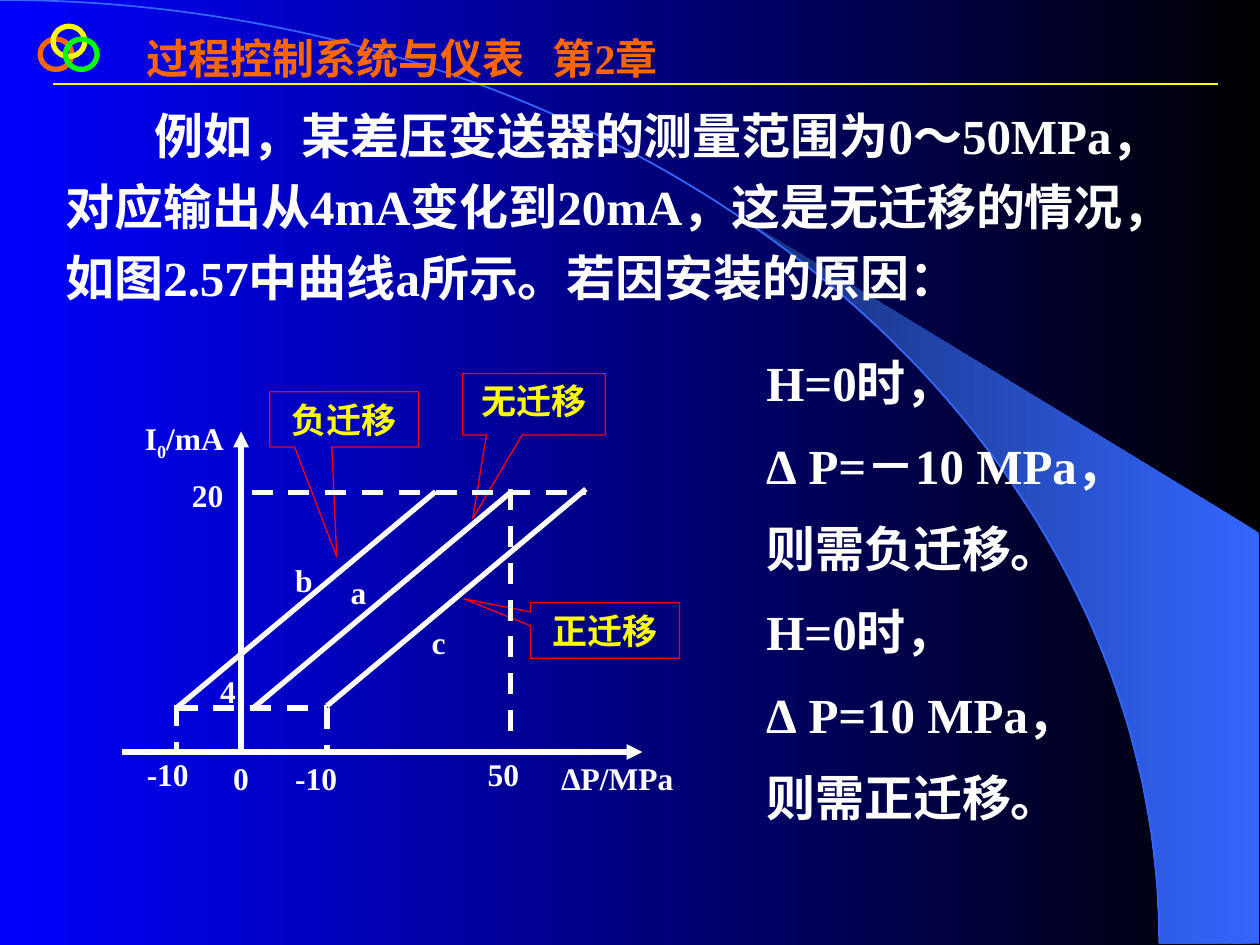
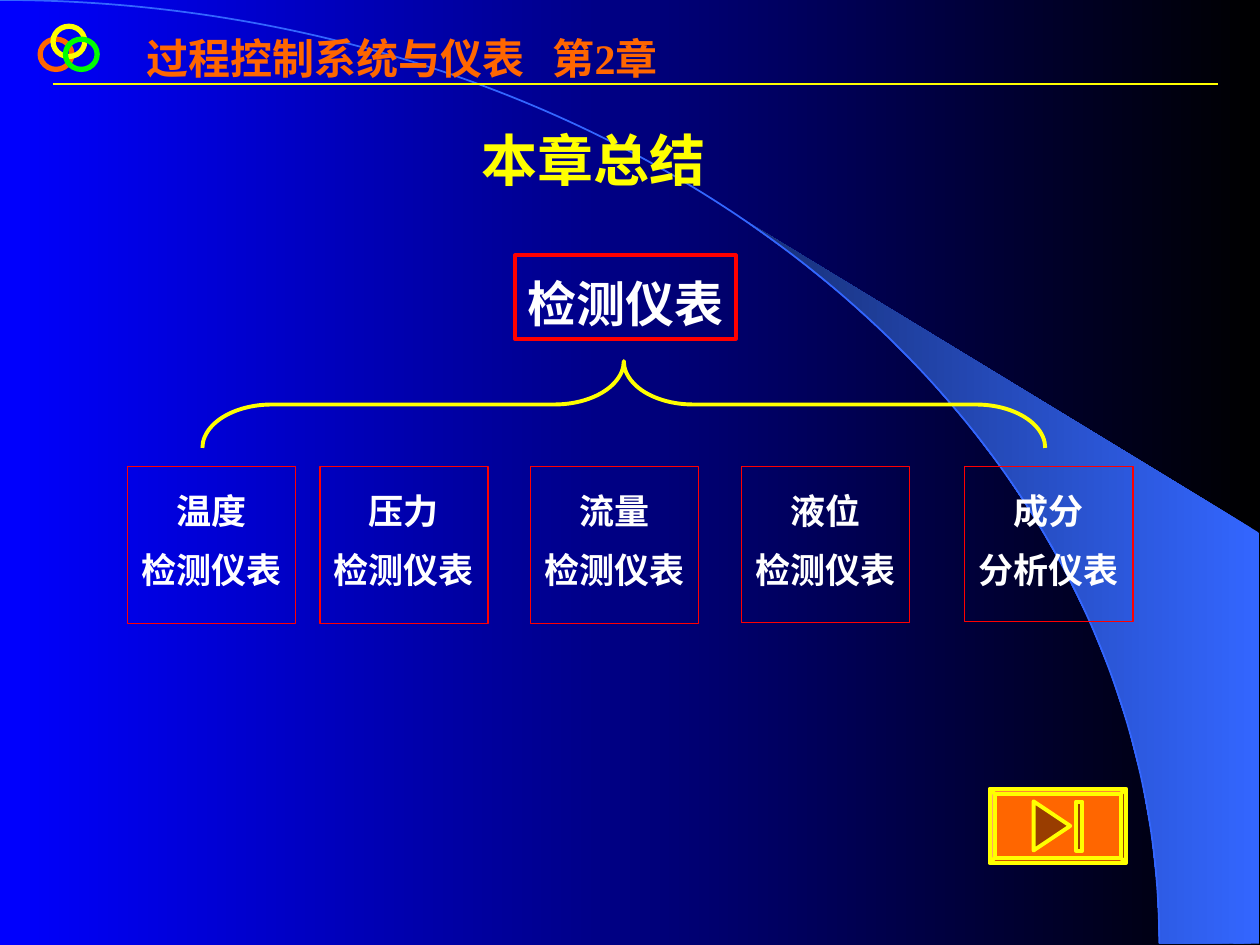
"""Build two slides on transmitter zero shift and the summary of chapter 2."""
from dataclasses import dataclass
from math import cos, radians, sin

from lxml.etree import SubElement
from pptx import Presentation
from pptx.dml.color import RGBColor as RGB
from pptx.enum.dml import MSO_LINE as DASH
from pptx.enum.shapes import MSO_CONNECTOR as LINK, MSO_SHAPE as SHAPE
from pptx.enum.text import MSO_ANCHOR as ANCHOR, PP_ALIGN as ALIGN
from pptx.oxml.ns import qn
from pptx.util import Cm, Pt


@dataclass(frozen=True)
class Theme:
    latin: str = "Times New Roman"
    cjk: str = "Noto Sans CJK SC"
    black: str = "000000"
    blue: str = "0000FF"
    sky: str = "3366FF"
    navy: str = "172F75"
    orange: str = "FF6600"
    brown: str = "993D00"
    yellow: str = "FFFF00"
    green: str = "00FF00"
    red: str = "FF0000"
    white: str = "FFFFFF"
    heading: int = 32
    body: int = 28
    header: int = 24
    note: int = 20
    label: int = 18
    hairline: float = 0.75
    frame: float = 2.25
    stroke: float = 3


theme = Theme()


def write(shape, text, size, color=theme.white, font=theme.latin, align=ALIGN.LEFT,
          anchor=ANCHOR.TOP, spacing=1.0, before=0, indent=0, tab=0, inset=True, wrap=True):
    frame = shape.text_frame
    frame.word_wrap = wrap
    frame.vertical_anchor = anchor
    frame.margin_left = frame.margin_right = Cm(0.25 if inset else 0)
    frame.margin_top = frame.margin_bottom = Cm(0.13 if inset else 0)
    for row, words in enumerate(text.split("\n")):
        paragraph = frame.add_paragraph() if row else frame.paragraphs[0]
        properties = paragraph._p.get_or_add_pPr()
        if indent:
            properties.set("indent", str(Cm(indent)))
        if tab:
            stops = SubElement(properties, qn("a:tabLst"))
            SubElement(stops, qn("a:tab"), pos=str(Cm(tab)), algn="l")
        paragraph.alignment = align
        paragraph.line_spacing = spacing
        if row and before:
            paragraph.space_before = Pt(before)
        for order, piece in enumerate(words.split("_")):
            run = paragraph.add_run()
            run.text = piece
            run.font.size = Pt(size)
            run.font.bold = True
            run.font.name = font
            run.font.color.rgb = RGB.from_string(color)
            SubElement(run._r.rPr, qn("a:ea"), typeface=theme.cjk)
            if order % 2:
                run._r.rPr.set("baseline", "-25000")


def ink(shape, color, width, dash=None, arrow=False, fill=None):
    shape.line.color.rgb = RGB.from_string(color)
    shape.line.width = Pt(width)
    if dash:
        shape.line.dash_style = dash
    if arrow:
        SubElement(shape.line._get_or_add_ln(), qn("a:tailEnd"), type="triangle")
    if fill:
        shape.fill.solid()
        shape.fill.fore_color.rgb = RGB.from_string(fill)
    elif hasattr(shape, "fill"):
        shape.fill.background()
    SubElement(shape._element.spPr, qn("a:effectLst"))


deck = Presentation()
deck.slide_width, deck.slide_height = Cm(25.4), Cm(19.05)

backdrop = deck.slide_master.background.fill
backdrop.gradient()
backdrop.gradient_angle = 180
for stop, color in zip(backdrop.gradient_stops, (theme.black, theme.blue)):
    stop.color.rgb = RGB.from_string(color)

radius_x, radius_y = 23.37, 19.02
rim_angles = [radians(39.8 + 50.2 * step / 15) for step in range(16)]
glow_edge = [(Cm(radius_x * sin(a)), Cm(radius_y * (1 - cos(a)))) for a in rim_angles]
glow_edge += [(Cm(25.38), Cm(radius_y)), (Cm(25.38), Cm(10.74))]
rings = [(0.81, 0.79, theme.orange), (1.07, 0.53, theme.yellow), (1.32, 0.79, theme.green)]

for _ in range(2):
    shapes = deck.slides.add_slide(deck.slide_layouts[6]).shapes

    outline = shapes.build_freeform(*glow_edge[0])
    outline.add_line_segments(glow_edge[1:], close=True)
    glow = outline.convert_to_shape()
    glow.shadow.inherit = False
    glow.line.fill.background()
    glow.fill.gradient()
    glow.fill.gradient_angle = 180
    for stop, color in zip(glow.fill.gradient_stops, (theme.sky, theme.navy)):
        stop.color.rgb = RGB.from_string(color)

    rim = shapes.add_shape(SHAPE.ARC, Cm(-radius_x), 0, Cm(2 * radius_x), Cm(2 * radius_y))
    ink(rim, theme.sky, 1)

    rule = shapes.add_connector(LINK.STRAIGHT, Cm(1.06), Cm(1.69), Cm(24.55), Cm(1.69))
    ink(rule, theme.yellow, 1.5)
    header = shapes.add_textbox(Cm(2.71), Cm(0.53), Cm(11.4), Cm(2.29))
    write(header, "过程控制系统与仪表\t第2章", theme.header, theme.orange, tab=8.18)
    for x, y, color in rings:
        ring = shapes.add_shape(SHAPE.OVAL, Cm(x), Cm(y), Cm(0.64), Cm(0.61))
        ink(ring, color, theme.stroke)

shift, summary = (slide.shapes for slide in deck.slides)

example = shift.add_textbox(Cm(1.07), Cm(1.77), Cm(23.37), Cm(4.52))
write(example, "例如，某差压变送器的测量范围为0～50MPa，对应输出从4mA变化到20mA，"
      "这是无迁移的情况，如图2.57中曲线a所示。若因安装的原因：",
      theme.body, spacing=1.2, indent=1.8)
cases = shift.add_textbox(Cm(15.2), Cm(6.75), Cm(8.13), Cm(10.03))
write(cases, "H=0时，\n∆ P=－10 MPa，\n则需负迁移。\nH=0时，\n∆ P=10 MPa，\n则需正迁移。",
      theme.body, anchor=ANCHOR.MIDDLE, spacing=1.2, before=7)

callouts = [
    ("无迁移", 9.33, 7.53, 2.87, 1.24, (-0.43, 1.86)),
    ("负迁移", 5.44, 7.9, 3, 1.11, (-0.05, 2.5)),
    ("正迁移", 10.7, 12.15, 3, 1.12, (-0.95, -0.57)),
]
for name, x, y, width, height, tip in callouts:
    callout = shift.add_shape(SHAPE.RECTANGULAR_CALLOUT, Cm(x), Cm(y), Cm(width), Cm(height))
    callout.adjustments[0], callout.adjustments[1] = tip
    ink(callout, theme.red, theme.hairline)
    write(callout, name, theme.note, theme.yellow, align=ALIGN.CENTER)

marks = [
    ("-10", 2.96, 15.06, 1.1), ("50", 9.83, 15.06, 0.9), ("c", 8.7, 12.4, 0.9),
    ("a", 7.07, 11.4, 0.9), ("b", 5.95, 11.15, 0.9), ("20", 3.87, 9.45, 1.25),
    ("4", 4.44, 13.4, 1.25), ("0", 4.7, 15.15, 0.9), ("I_0_/mA", 2.92, 8.28, 1.68),
    ("∆P/MPa", 11.32, 15.15, 2.72), ("-10", 5.95, 15.15, 1.1),
]
for name, x, y, width in marks:
    mark = shift.add_textbox(Cm(x), Cm(y), Cm(width), Cm(1.3))
    write(mark, name, theme.label, spacing=1.2, inset=False)

high, low, base = 9.93, 14.27, 15.16
start_b, start_a, start_c, span = 3.56, 5.07, 6.59, 5.22
axes = [(4.86, 15.11, 4.86, 8.7), (2.45, base, 12.95, base)]
curves = [(start_a, 14.3, start_a + span, high), (start_b, low, start_b + span, 9.91),
          (start_c, 14.23, start_c + span, 9.86)]
guides = [
    (start_a, high, start_c + span, high),
    (start_b, low, start_c, low),
    (start_a + span, 9.86, start_a + span, 15.04),
    (start_b, 14.22, start_b, base),
    (start_c, low, start_c, base),
]
for group, dash, arrow in ((axes, None, True), (curves, None, False), (guides, DASH.DASH, False)):
    for ends in group:
        stroke = shift.add_connector(LINK.STRAIGHT, *map(Cm, ends))
        ink(stroke, theme.white, theme.stroke, dash, arrow)

heading = summary.add_textbox(Cm(9.45), Cm(2.4), Cm(5.87), Cm(1.63))
write(heading, "本章总结", theme.heading, theme.yellow, font=theme.cjk)

root = summary.add_shape(SHAPE.RECTANGLE, Cm(10.38), Cm(5.15), Cm(4.45), Cm(1.68))
ink(root, theme.red, theme.frame)
write(root, "检测仪表", theme.body, spacing=1.2, wrap=False)

brace = summary.add_shape(SHAPE.LEFT_BRACE, Cm(11.7), Cm(-0.34), Cm(1.75), Cm(16.99))
brace.rotation = 90
brace.adjustments[0] = 0.8
ink(brace, theme.yellow, theme.frame)

branches = [("温度\n检测仪表", 2.57, 3.17), ("压力\n检测仪表", 6.45, 3.17),
            ("流量\n检测仪表", 10.69, 3.17), ("液位\n检测仪表", 14.95, 3.15),
            ("成分\n分析仪表", 19.45, 3.13)]
for name, x, height in branches:
    branch = summary.add_shape(SHAPE.RECTANGLE, Cm(x), Cm(9.4), Cm(3.39), Cm(height))
    ink(branch, theme.red, theme.hairline)
    write(branch, name, theme.note, align=ALIGN.CENTER, spacing=1.4)

button = summary.add_shape(SHAPE.BEVEL, Cm(19.95), Cm(15.9), Cm(2.75), Cm(1.5))
button.adjustments[0] = 0.07
ink(button, theme.yellow, theme.frame, fill=theme.orange)
play = summary.add_shape(SHAPE.ISOSCELES_TRIANGLE, Cm(20.71), Cm(16.28), Cm(0.99), Cm(0.74))
play.rotation = 90
end_bar = summary.add_shape(SHAPE.RECTANGLE, Cm(21.69), Cm(16.16), Cm(0.13), Cm(0.99))
for symbol in (play, end_bar):
    ink(symbol, theme.yellow, theme.frame, fill=theme.brown)

deck.save("out.pptx")
